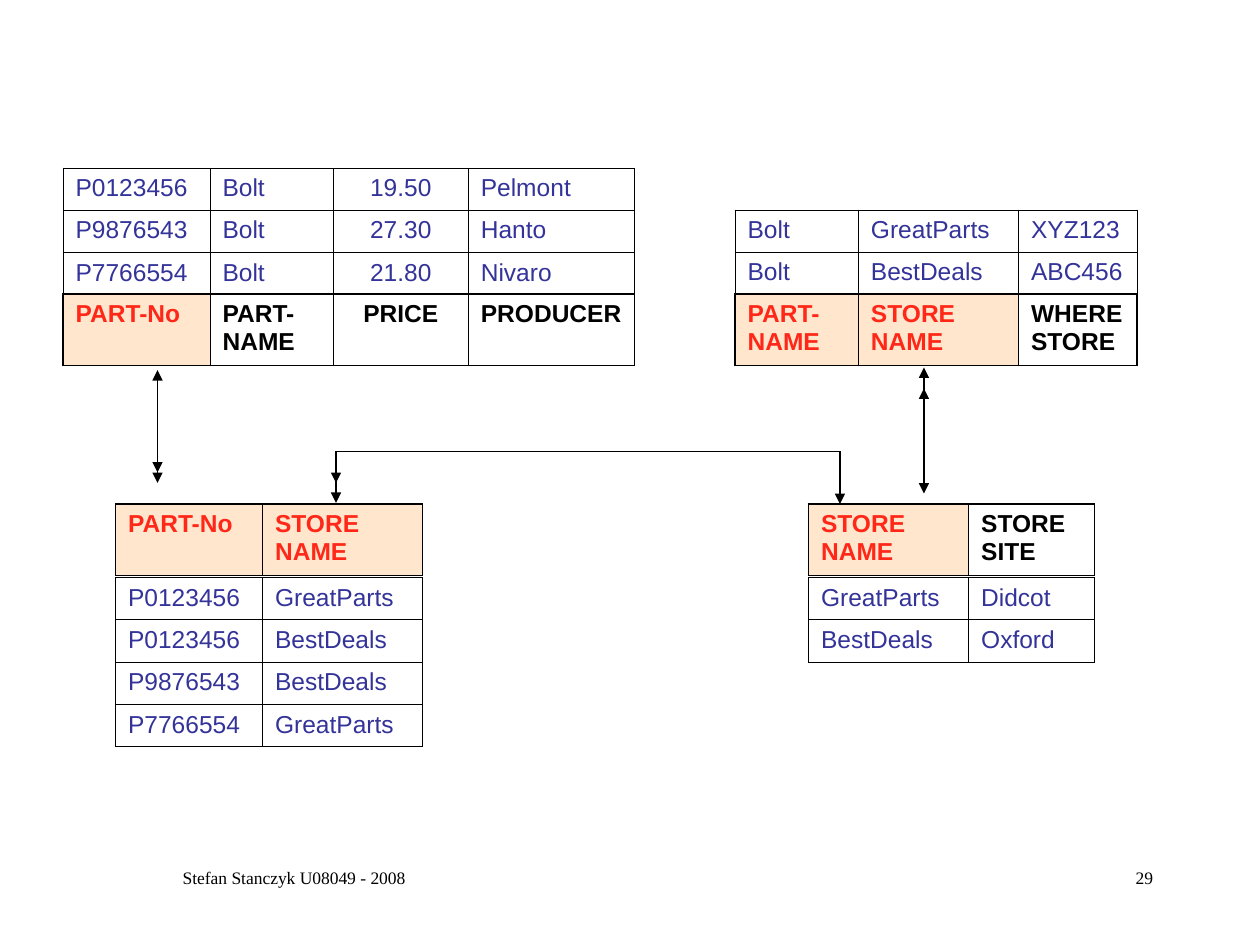
from lxml.etree import SubElement
from pptx import Presentation
from pptx.dml.color import RGBColor
from pptx.enum.shapes import MSO_CONNECTOR
from pptx.enum.text import PP_ALIGN
from pptx.oxml.ns import qn
from pptx.util import Inches, Pt

COLORS = {"ink": "000000", "value": "333399", "key": "FF2718", "key_fill": "FFE6CD"}
UNIT = 1 / 12  # inches in one grid column or row
ROW, HEADER_ROW = 4.03, 6.8
THIN, THICK = 0.45, 1.08
WIDTHS = {"PART-No": 14, "PART-NAME": 11.75, "PRICE": 12.85, "PRODUCER": 15.85,
          "STORE NAME": 15.25, "WHERE STORE": 11.3, "STORE SITE": 12}
CENTERED = {"PRICE"}


def grid(*units):
    return [Inches(n * UNIT) for n in units]


def write(frame, text, size=14, font="Arial", color="ink", bold=False, align=PP_ALIGN.LEFT):
    frame.word_wrap = True
    paragraph = frame.paragraphs[0]
    paragraph.alignment = align
    run = paragraph.add_run()
    run.text = text
    run.font.name, run.font.size, run.font.bold = font, Pt(size), bold
    run.font.color.rgb = RGBColor.from_string(COLORS[color])


def set_borders(cell, **widths):
    """Draw the sides L, R, T and B in points; a width of 0 leaves the side open."""
    properties = cell._tc.get_or_add_tcPr()
    for side, width in widths.items():
        line = SubElement(properties, qn(f"a:ln{side}"), w=str(Pt(width)))
        if width:
            fill = SubElement(line, qn("a:solidFill"))
            SubElement(fill, qn("a:srgbClr"), val=COLORS["ink"])
        else:
            SubElement(line, qn("a:noFill"))


class Diagram:
    def __init__(self, slide):
        self.slide = slide

    def table(self, left, top, names, rows, row_height):
        size = grid(sum(WIDTHS[name] for name in names), row_height * len(rows))
        table = self.slide.shapes.add_table(
            len(rows), len(names), *grid(left, top), *size).table
        table.first_row = table.horz_banding = False
        for column, name in zip(table.columns, names):
            column.width, = grid(WIDTHS[name])
        for row in table.rows:
            row.height, = grid(row_height)
        for r, row in enumerate(rows):
            for c, text in enumerate(row):
                yield r, c, table.cell(r, c), text

    def header(self, left, top, names, keys):
        last = len(names) - 1
        for _, c, cell, name in self.table(left, top, names, [names], HEADER_ROW):
            set_borders(cell, L=THIN if c else THICK, R=THICK if c == last else THIN,
                        T=THICK, B=THICK)
            if name in keys:
                cell.fill.solid()
                cell.fill.fore_color.rgb = RGBColor.from_string(COLORS["key_fill"])
            else:
                cell.fill.background()
            write(cell.text_frame, name, bold=True,
                  color="key" if name in keys else "ink",
                  align=PP_ALIGN.CENTER if name in CENTERED else PP_ALIGN.LEFT)

    def body(self, left, top, names, records, open_bottom):
        last = len(records) - 1
        for r, c, cell, text in self.table(left, top, names, records, ROW):
            set_borders(cell, L=THIN, R=THIN, T=THIN,
                        B=0 if open_bottom and r == last else THIN)
            cell.fill.background()
            write(cell.text_frame, text, color="value",
                  align=PP_ALIGN.CENTER if names[c] in CENTERED else PP_ALIGN.LEFT)

    def relation(self, left, header_top, body_top, names, keys, records):
        self.body(left, body_top, names, records, open_bottom=body_top < header_top)
        self.header(left, header_top, names, keys)

    def arrow(self, start, end, ends=("tailEnd",)):
        link = self.slide.shapes.add_connector(
            MSO_CONNECTOR.STRAIGHT, *grid(*start), *grid(*end))
        link.line.color.rgb = RGBColor.from_string(COLORS["ink"])
        link.line.width = Pt(0.75)
        for tip in ends:
            SubElement(link.line._get_or_add_ln(), qn(f"a:{tip}"), type="triangle")
        SubElement(link._element.spPr, qn("a:effectLst"))

    def footer(self, left, width, text, align):
        box = self.slide.shapes.add_textbox(*grid(left, 82, width, 6))
        write(box.text_frame, text, size=10, font="Times New Roman", align=align)


def main():
    deck = Presentation()
    deck.slide_width, deck.slide_height = grid(120, 90)
    diagram = Diagram(deck.slides.add_slide(deck.slide_layouts[6]))

    # Parts
    diagram.relation(6, 28, 16, ["PART-No", "PART-NAME", "PRICE", "PRODUCER"], {"PART-No"}, [
        ["P0123456", "Bolt", "19.50", "Pelmont"],
        ["P9876543", "Bolt", "27.30", "Hanto"],
        ["P7766554", "Bolt", "21.80", "Nivaro"]])
    # Places of parts within stores
    diagram.relation(70, 28, 20, ["PART-NAME", "STORE NAME", "WHERE STORE"],
                     {"PART-NAME", "STORE NAME"}, [
        ["Bolt", "GreatParts", "XYZ123"],
        ["Bolt", "BestDeals", "ABC456"]])
    # Stock
    diagram.relation(11, 48, 55, ["PART-No", "STORE NAME"], {"PART-No", "STORE NAME"}, [
        ["P0123456", "GreatParts"],
        ["P0123456", "BestDeals"],
        ["P9876543", "BestDeals"],
        ["P7766554", "GreatParts"]])
    # Stores
    diagram.relation(77, 48, 55, ["STORE NAME", "STORE SITE"], {"STORE NAME"}, [
        ["GreatParts", "Didcot"],
        ["BestDeals", "Oxford"]])

    # A second tip on a link marks its "many" end
    both = ("headEnd", "tailEnd")
    diagram.arrow((15, 35.25), (15, 46), both)
    diagram.arrow((88, 35), (88, 47), both)
    diagram.arrow((88, 39), (88, 37))
    diagram.arrow((15, 42), (15, 45))
    diagram.arrow((32, 43), (32, 47.9))
    diagram.arrow((80, 43), (80, 48))
    diagram.arrow((32, 43), (80, 43), ends=())
    diagram.arrow((32, 43), (32, 46))

    diagram.footer(9, 38, "Stefan Stanczyk U08049 - 2008", PP_ALIGN.CENTER)
    diagram.footer(86, 25, "29", PP_ALIGN.RIGHT)
    deck.save("out.pptx")


if __name__ == "__main__":
    main()
